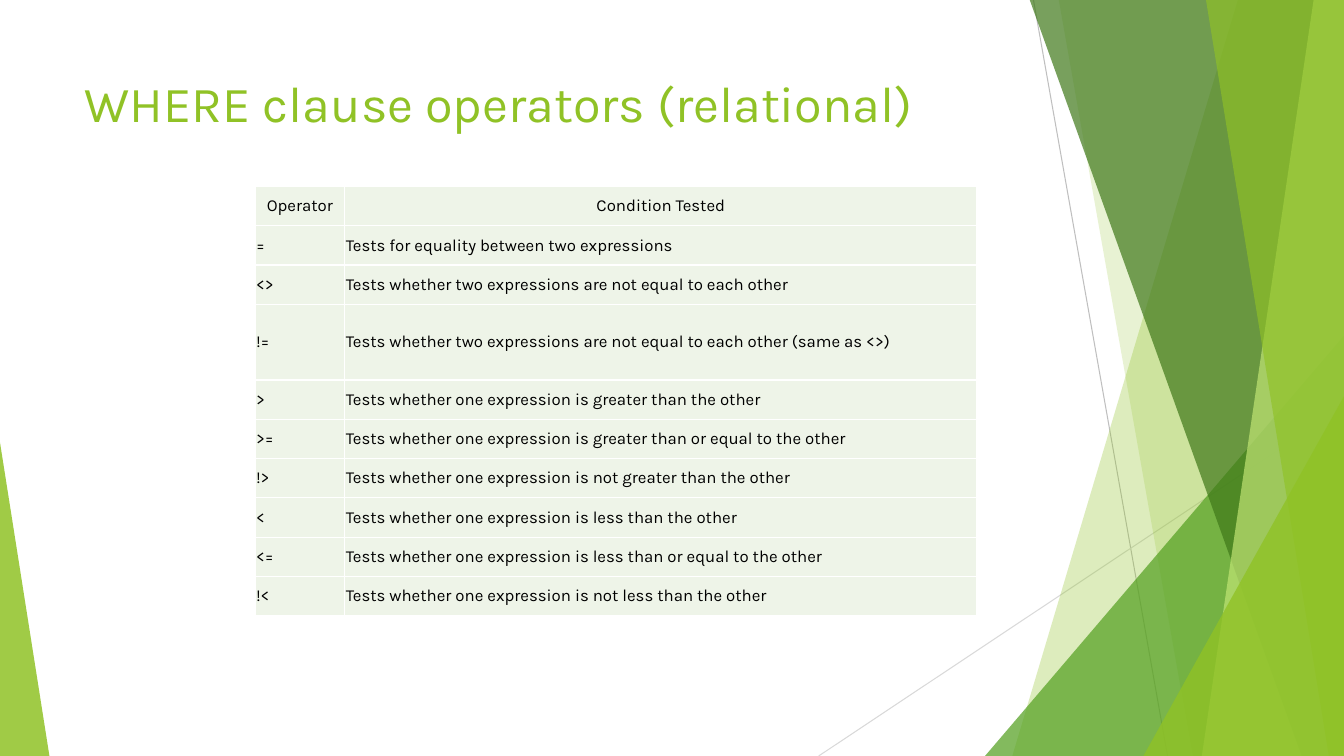
from lxml.etree import SubElement
from pptx import Presentation
from pptx.dml.color import RGBColor
from pptx.enum.shapes import MSO_CONNECTOR, MSO_SHAPE
from pptx.enum.text import MSO_ANCHOR as ANCHOR, PP_ALIGN as ALIGN
from pptx.oxml.ns import qn
from pptx.util import Pt

PX = 9144  # 100 px to the inch
WIDTH, HEIGHT = 1333, 750
COLORS = {
    "lime": "90C226", "green": "54A021", "forest": "3F7819", "pale": "C0E474",
    "gray": "BFBFBF", "silver": "D9D9D9", "cell": "EEF4E8",
    "white": "FFFFFF", "black": "000000",
}


def px(*lengths):
    return [length * PX for length in lengths]


def write(paragraph, text, size, color, align):
    run = paragraph.add_run()
    run.text = text
    for name, value in {"name": "Karla", "size": Pt(size)}.items():
        setattr(run.font, name, value)
    run.font.color.rgb = RGBColor.from_string(COLORS[color])
    paragraph.alignment = align


presentation = Presentation()
presentation.slide_width, presentation.slide_height = px(WIDTH, HEIGHT)
slide = presentation.slides.add_slide(presentation.slide_layouts[6])
shapes = slide.shapes

# Thin lines behind the facets
for ends, color in [((1025, 0, 1158, 750), "gray"), ((1333, 403, 812, 750), "silver")]:
    line = shapes.add_connector(MSO_CONNECTOR.STRAIGHT, *px(*ends))
    line.line.color.rgb = RGBColor.from_string(COLORS[color])
    line.line.width = Pt(0.75)
    SubElement(line._element.spPr, qn("a:effectLst"))

# Bands reach the right edge: top x, bottom x.
# Triangles stand on the bottom edge: left, top, width, apex position.
facets = [
    ("band", (1228, 1004), "lime", 30),
    ("band", (1050, 1183), "lime", 20),
    ("triangle", (977, 333, 356, 1), "green", 72),
    ("band", (1021, 1291), "forest", 70),
    ("band", (1303, 1192), "pale", 70),
    ("band", (1196, 1318), "lime", 65),
    ("triangle", (1134, 393, 199, 1), "lime", 80),
    ("triangle", (0, 439, 49, 0), "lime", 85),
]
for kind, geometry, color, opacity in facets:
    if kind == "band":
        top_x, bottom_x = geometry
        builder = shapes.build_freeform(top_x, -1, scale=PX)
        builder.add_line_segments([(WIDTH, -1), (WIDTH, HEIGHT), (bottom_x, HEIGHT)])
        facet = builder.convert_to_shape()
    else:
        left, top, width, apex = geometry
        facet = shapes.add_shape(
            MSO_SHAPE.ISOSCELES_TRIANGLE, *px(left, top, width, HEIGHT - top))
        facet.adjustments[0] = apex
    facet.shadow.inherit = False
    facet.fill.solid()
    facet.fill.fore_color.rgb = RGBColor.from_string(COLORS[color])
    fill_color = facet._element.spPr.find(f"{qn('a:solidFill')}/{qn('a:srgbClr')}")
    SubElement(fill_color, qn("a:alpha"), val=str(opacity * 1000))
    facet.line.fill.background()

title = shapes.add_textbox(*px(74, 67, 940, 144))
title.text_frame.word_wrap = True
title.text_frame.vertical_anchor = ANCHOR.TOP
write(title.text_frame.paragraphs[0], "WHERE clause operators (relational)",
      36, "lime", ALIGN.LEFT)

rows = [
    ("Operator", "Condition Tested"),
    ("=", "Tests for equality between two expressions"),
    ("<>", "Tests whether two expressions are not equal to each other"),
    ("!=", "Tests whether two expressions are not equal to each other (same as <>)"),
    (">", "Tests whether one expression is greater than the other"),
    (">=", "Tests whether one expression is greater than or equal to the other"),
    ("!>", "Tests whether one expression is not greater than the other"),
    ("<", "Tests whether one expression is less than the other"),
    ("<=", "Tests whether one expression is less than or equal to the other"),
    ("!<", "Tests whether one expression is not less than the other"),
]
table = shapes.add_table(len(rows), 2, *px(253, 185, 716, 426)).table
table.first_row = table.horz_banding = False
for column, width in zip(table.columns, px(89, 627)):
    column.width = width

cell_format = {"vertical_anchor": ANCHOR.MIDDLE}
cell_format.update({f"margin_{side}": PX for side in ("left", "right", "top", "bottom")})
for row_index, texts in enumerate(rows):
    table.rows[row_index].height = (75 if texts[0] == "!=" else 39) * PX
    for column_index, text in enumerate(texts):
        cell = table.cell(row_index, column_index)
        for name, value in cell_format.items():
            setattr(cell, name, value)
        for edge in ("lnL", "lnR", "lnT", "lnB"):
            border = SubElement(cell._tc.get_or_add_tcPr(), qn(f"a:{edge}"), w=str(Pt(1)))
            border_fill = SubElement(border, qn("a:solidFill"))
            SubElement(border_fill, qn("a:srgbClr"), val=COLORS["white"])
        cell.fill.solid()
        cell.fill.fore_color.rgb = RGBColor.from_string(COLORS["cell"])
        write(cell.text_frame.paragraphs[0], text, 12, "black",
              ALIGN.LEFT if row_index else ALIGN.CENTER)

presentation.save("out.pptx")
